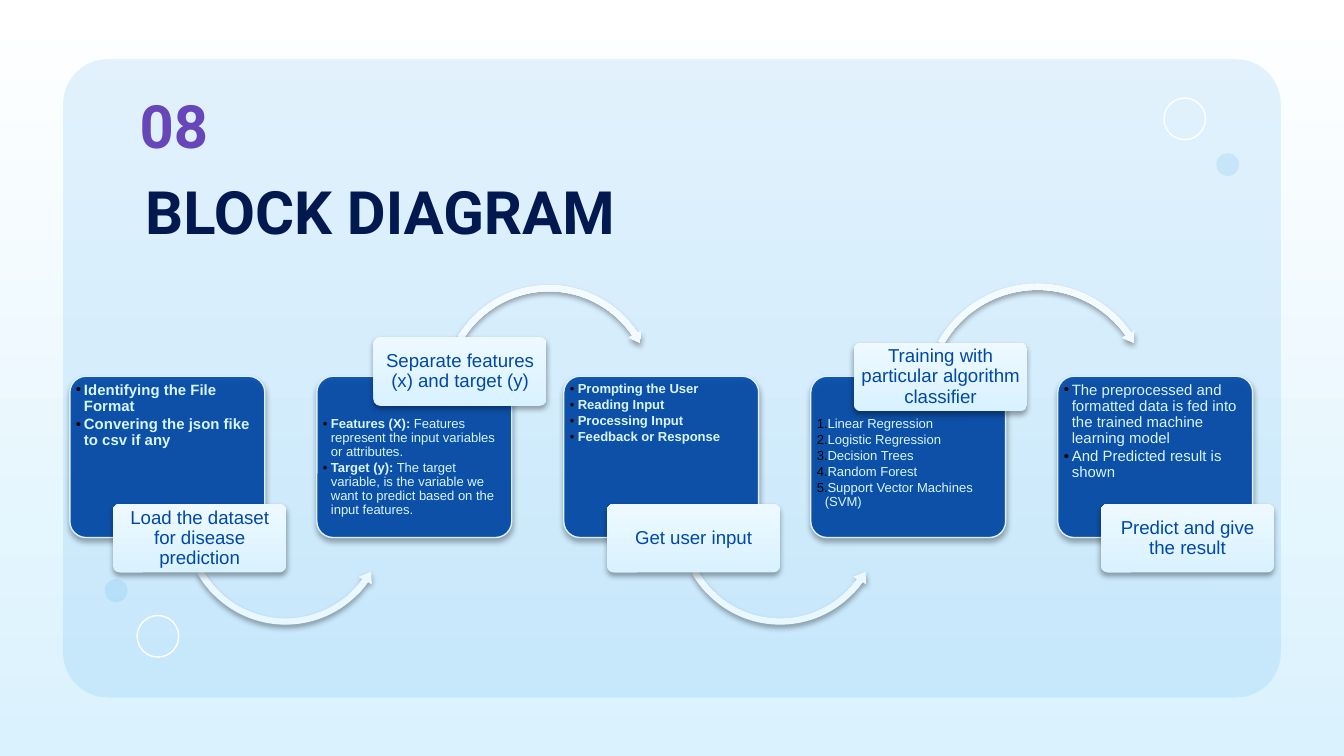
import dataclasses
import typing

import pptx
import pptx.dml.color
import pptx.enum.shapes
import pptx.enum.text
import pptx.oxml.ns
import pptx.util
from lxml import etree

Inches = pptx.util.Inches
Pt = pptx.util.Pt
Shape = pptx.enum.shapes.MSO_SHAPE
Align = pptx.enum.text.PP_ALIGN
Anchor = pptx.enum.text.MSO_ANCHOR

NAVY, PURPLE, BLUE = "01194F", "6746B9", "0048A7"
SKY, PALE, WHITE, BLACK = "0388E5", "DAF2FE", "FFFFFF", "000000"
CARD_TEXT = "D8F6FF"
CARD_LEFT, CARD_TOP, CARD_WIDTH, CARD_HEIGHT = 0.52, 2.8, 1.45, 1.2
PITCH = (7.87 - CARD_LEFT) / 4
TAB_WIDTH, TAB_HEIGHT = 1.29, 0.51


@dataclasses.dataclass
class Arrow:
    kind: typing.Any
    left: float
    top: float
    size: float
    thickness: float  # percent of size
    head_angle: float  # degrees, as are the next two
    end_angle: float
    start_angle: float
    head_width: float  # percent of size


@dataclasses.dataclass
class Step:
    label: str
    tab_offset: float  # from the left of the card
    tab_top: float
    points: list  # (bold text, plain text)
    size: int
    text_inset: float = 0.01
    numbered: bool = False
    arrow: typing.Optional[Arrow] = None


def lower_arrow(left: float) -> Arrow:
    return Arrow(Shape.LEFT_CIRCULAR_ARROW, left, 3.11, 1.57, 3, 6.04, 35.63, 150.41, 3.5)


STEPS = [
    Step("Load the dataset for disease prediction", 0.32, 3.75,
         [("Identifying the File Format", ""),
          ("Convering the json fike to csv if any", "")], 8,
         arrow=lower_arrow(1.34)),
    Step("Separate features (x) and target (y)", 0.42, 2.51,
         [("Features (X):", " Features represent the input variables or attributes."),
          ("Target (y):", " The target variable, is the variable we want to predict "
                          "based on the input features.")], 7, text_inset=0.27,
         arrow=Arrow(Shape.CIRCULAR_ARROW, 3.26, 2.09, 1.65,
                     2.8, 5.75, 326.2, 211.13, 3.3)),
    Step("Get user input", 0.32, 3.75,
         [("Prompting the User", ""), ("Reading Input", ""),
          ("Processing Input", ""), ("Feedback or Response", "")], 7,
         arrow=lower_arrow(5.02)),
    Step("Training with particular algorithm classifier", 0.32, 2.55,
         [("", "Linear Regression"), ("", "Logistic Regression"),
          ("", "Decision Trees"), ("", "Random Forest"),
          ("", "Support Vector Machines (SVM)")], 7, text_inset=0.27, numbered=True,
         arrow=Arrow(Shape.CIRCULAR_ARROW, 6.84, 2.08, 1.76,
                     2.6, 5.36, 325.05, 209.59, 3.1)),
    Step("Predict and give the result", 0.32, 3.75,
         [("", "The preprocessed and formatted data is fed into the trained "
               "machine learning model"),
          ("", "And Predicted result is shown")], 8),
]


def color(value: str):
    return pptx.dml.color.RGBColor.from_string(value)


def add_child(parent, tag: str, **attributes):
    child = etree.SubElement(parent, pptx.oxml.ns.qn(tag))
    for name, value in attributes.items():
        child.set(name, str(value))
    return child


def fill_solid(shape, value: str, opacity: int) -> None:
    shape.fill.solid()
    shape.fill.fore_color.rgb = color(value)
    fill_color = next(shape._element.spPr.iter(pptx.oxml.ns.qn("a:srgbClr")))
    add_child(fill_color, "a:alpha", val=opacity * 1000)


def fill_gradient(fill, start: str, end: str, angle: int) -> None:
    fill.gradient()
    fill.gradient_angle = angle
    for stop, value in zip(fill.gradient_stops, (start, end)):
        stop.color.rgb = color(value)


def add_shadow(shape) -> None:
    effects = shape._element.spPr.find(pptx.oxml.ns.qn("a:effectLst"))
    shadow = add_child(effects, "a:outerShdw", blurRad=Pt(3.1), dist=Pt(1.8),
                       dir=5400000, rotWithShape=0)
    add_child(add_child(shadow, "a:srgbClr", val=BLACK), "a:alpha", val=35000)


def add_shape(slide, kind, left: float, top: float, width: float, height: float,
              line: typing.Optional[str] = None):
    shape = slide.shapes.add_shape(kind, Inches(left), Inches(top),
                                   Inches(width), Inches(height))
    shape.fill.background()
    if line:
        shape.line.color.rgb = color(line)
        shape.line.width = Pt(0.75)
    else:
        shape.line.fill.background()
    shape.shadow.inherit = False
    return shape


def format_font(font, name: str, size: float, value: str, bold: bool = False) -> None:
    font.name, font.size, font.bold = name, Pt(size), bold
    font.color.rgb = color(value)


def set_insets(text_frame, left: float, right: float, top: float, bottom: float) -> None:
    text_frame.word_wrap = True
    text_frame.margin_left, text_frame.margin_right = Inches(left), Inches(right)
    text_frame.margin_top, text_frame.margin_bottom = Inches(top), Inches(bottom)


def set_heading(shape, text: str, value: str) -> None:
    text_frame = shape.text_frame
    text_frame.text = text
    text_frame.word_wrap = True
    text_frame.vertical_anchor = Anchor.TOP
    text_frame.auto_size = pptx.enum.text.MSO_AUTO_SIZE.SHAPE_TO_FIT_TEXT
    paragraph = text_frame.paragraphs[0]
    paragraph.alignment = Align.LEFT
    format_font(paragraph.runs[0].font, "Roboto", 32, value, True)


def add_card(slide, step: Step, left: float) -> None:
    card = add_shape(slide, Shape.ROUNDED_RECTANGLE, left, CARD_TOP,
                     CARD_WIDTH, CARD_HEIGHT, PALE)
    card.adjustments[0] = 0.1
    fill_solid(card, BLUE, 90)
    add_shadow(card)
    text_frame = card.text_frame
    set_insets(text_frame, 0.01, 0, step.text_inset, 0)
    text_frame.vertical_anchor = Anchor.TOP
    for index, parts in enumerate(step.points):
        paragraph = text_frame.add_paragraph() if index else text_frame.paragraphs[0]
        paragraph.alignment = Align.LEFT
        paragraph.level = 1
        paragraph.line_spacing = 0.9
        paragraph.space_after = Pt(0.15 * step.size)
        for text, bold in zip(parts, (True, False)):
            if text:
                run = paragraph.add_run()
                run.text = text
                format_font(run.font, "Arial", step.size, CARD_TEXT, bold)
        properties = paragraph._p.get_or_add_pPr()
        properties.set("marL", str(Inches(0.06)))
        properties.set("indent", str(-Inches(0.06)))
        add_child(add_child(properties, "a:buClr"), "a:srgbClr", val=BLACK)
        add_child(properties, "a:buFont", typeface="Arial")
        if step.numbered:
            add_child(properties, "a:buAutoNum", type="arabicPeriod")
        else:
            add_child(properties, "a:buChar", char="•")


def add_arrow(slide, arrow: Arrow) -> None:
    shape = add_shape(slide, arrow.kind, arrow.left, arrow.top, arrow.size, arrow.size)
    # Angles are stored in 60000ths of a degree, adjustments in 100000ths
    values = (arrow.thickness / 100, arrow.head_angle * 0.6, arrow.end_angle * 0.6,
              arrow.start_angle * 0.6, arrow.head_width / 100)
    for index, value in enumerate(values):
        shape.adjustments[index] = value
    fill_gradient(shape.fill, "E9F7FF", "F4FBFF", 90)
    add_shadow(shape)


def add_tab(slide, step: Step, left: float) -> None:
    tab = add_shape(slide, Shape.ROUNDED_RECTANGLE, left, step.tab_top,
                    TAB_WIDTH, TAB_HEIGHT)
    tab.adjustments[0] = 0.1
    fill_gradient(tab.fill, "D9F2FF", "EDF9FF", 90)
    add_shadow(tab)
    set_insets(tab.text_frame, 0.02, 0.02, 0.01, 0.01)
    tab.text_frame.vertical_anchor = Anchor.MIDDLE
    tab.text_frame.text = step.label
    paragraph = tab.text_frame.paragraphs[0]
    paragraph.alignment = Align.CENTER
    paragraph.line_spacing = 0.9
    format_font(paragraph.runs[0].font, "Arial", 10, BLUE)


def main() -> None:
    presentation = pptx.Presentation()
    presentation.slide_width = Inches(10)
    presentation.slide_height = Inches(10 * 9 / 16)
    slide = presentation.slides.add_slide(presentation.slide_layouts[5])
    fill_gradient(slide.background.fill, WHITE, PALE, 270)

    # Panel and bubbles
    panel = add_shape(slide, Shape.ROUNDED_RECTANGLE, 0.47, 0.44, 9.06, 4.75)
    panel.adjustments[0] = 0.07
    fill_solid(panel, SKY, 10)
    for left, top in ((1.02, 4.58), (8.66, 0.73)):
        add_shape(slide, Shape.OVAL, left, top, 0.31, 0.31, WHITE)
    for left, top in ((0.78, 4.31), (9.05, 1.14)):
        fill_solid(add_shape(slide, Shape.OVAL, left, top, 0.17, 0.17), SKY, 10)

    # Title, brought in front of the panel, and section number
    title = slide.shapes.title
    title.left, title.top = Inches(0.98), Inches(1.25)
    title.width, title.height = Inches(8.5), Inches(0.64)
    set_heading(title, "BLOCK DIAGRAM", NAVY)
    title._element.getparent().append(title._element)
    number = slide.shapes.add_textbox(Inches(0.83), Inches(0.61), Inches(1.02), Inches(0.64))
    set_heading(number, " 08", PURPLE)

    # Process steps
    for index, step in enumerate(STEPS):
        left = CARD_LEFT + index * PITCH
        add_card(slide, step, left)
        if step.arrow:
            add_arrow(slide, step.arrow)
        add_tab(slide, step, left + step.tab_offset)

    presentation.save("out.pptx")


if __name__ == "__main__":
    main()
